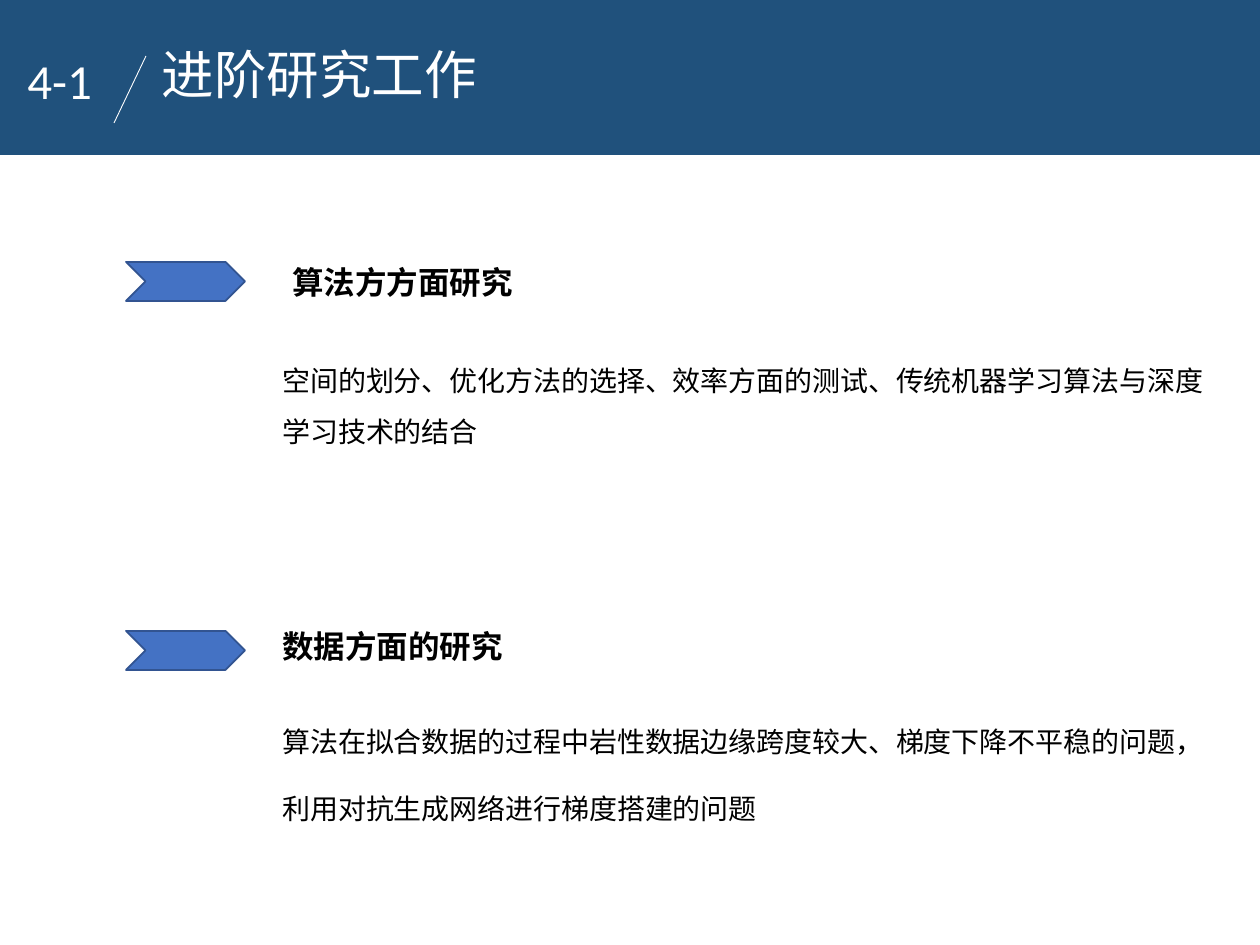
import pptx
import pptx.dml.color
import pptx.enum.shapes
import pptx.enum.text
import pptx.oxml
import pptx.oxml.ns
import pptx.util

PX = 914400 // 126
CJK = "Noto Sans CJK SC"
TITLE = "进阶研究工作"
NUMBER = "4-1"
BODY_WIDTH = 953
TOPICS = [
    {
        "arrow_top": 262,
        "heading": "算法方方面研究",
        "heading_box": (280, 257, 350, 50),
        "body": ["空间的划分、优化方法的选择、效率方面的测试、传统机器学习算法与深度学习技术的结合"],
        "body_box": (270, 341, BODY_WIDTH, 110),
        "spacing": {"line_spacing": 1.5},
    },
    {
        "arrow_top": 631,
        "heading": "数据方面的研究",
        "heading_box": (270, 621, 350, 50),
        "body": ["算法在拟合数据的过程中岩性数据边缘跨度较大、梯度下降不平稳的问题，",
                 "利用对抗生成网络进行梯度搭建的问题"],
        "body_box": (270, 718, BODY_WIDTH, 115),
        "spacing": {"space_before": pptx.util.Pt(19.5)},
    },
]


def color(value):
    return pptx.dml.color.RGBColor.from_string(value)


def lengths(*values):
    return [pptx.util.Emu(value * PX) for value in values]


def add_shape(slide, kind, box, fill, line=None):
    shape = slide.shapes.add_shape(kind, *lengths(*box))
    shape.shadow.inherit = False
    shape.fill.solid()
    shape.fill.fore_color.rgb = color(fill)
    if line:
        shape.line.color.rgb = color(line)
        shape.line.width = pptx.util.Pt(1)
    else:
        shape.line.fill.background()


def write(shape, lines, size, ink="000000", bold=False, font="Calibri", spacing=None):
    frame = shape.text_frame
    frame.word_wrap = True
    frame.vertical_anchor = pptx.enum.text.MSO_ANCHOR.TOP
    for index, text in enumerate(lines):
        paragraph = frame.add_paragraph() if index else frame.paragraphs[0]
        paragraph.alignment = pptx.enum.text.PP_ALIGN.LEFT
        for name, value in (spacing or {}).items():
            if index or name != "space_before":
                setattr(paragraph, name, value)
        run = paragraph.add_run()
        run.text = text
        for name, value in {"name": font, "size": pptx.util.Pt(size), "bold": bold}.items():
            setattr(run.font, name, value)
        run.font.color.rgb = color(ink)
        east_asian = pptx.oxml.parse_xml(
            f'<a:ea {pptx.oxml.ns.nsdecls("a")} typeface="{CJK}"/>')
        run.font._element.append(east_asian)


def add_text(slide, box, lines, size, **style):
    write(slide.shapes.add_textbox(*lengths(*box)), lines, size, **style)


def add_header(slide):
    add_shape(slide, pptx.enum.shapes.MSO_SHAPE.RECTANGLE, (-2, 0, 1262, 155), "20517C")
    slash = slide.shapes.add_connector(
        pptx.enum.shapes.MSO_CONNECTOR.STRAIGHT, *lengths(146, 56, 114, 123))
    slash.line.color.rgb = color("FFFFFF")
    slash.line.width = pptx.util.Pt(0.5)
    slash._element.spPr.append(
        pptx.oxml.parse_xml(f'<a:effectLst {pptx.oxml.ns.nsdecls("a")}/>'))

    title = slide.shapes.title
    for name, value in zip(("left", "top", "width", "height"), lengths(149, 48, 474, 68)):
        setattr(title, name, value)
    write(title, [TITLE], 30, ink="FFFFFF", font=CJK, spacing={"line_spacing": 0.8})
    title.text_frame.auto_size = pptx.enum.text.MSO_AUTO_SIZE.NONE
    title.element.getparent().append(title.element)
    add_text(slide, (15, 44, 134, 72), [NUMBER], 28, ink="FFFFFF")


def add_topic(slide, topic):
    add_shape(slide, pptx.enum.shapes.MSO_SHAPE.CHEVRON,
              (126, topic["arrow_top"], 119, 39), "4472C4", "325491")
    add_text(slide, topic["heading_box"], [topic["heading"]], 18, bold=True)
    add_text(slide, topic["body_box"], topic["body"], 16, spacing=topic["spacing"])


def main():
    presentation = pptx.Presentation()
    presentation.slide_width, presentation.slide_height = lengths(1260, 945)
    slide = presentation.slides.add_slide(presentation.slide_layouts[5])
    add_header(slide)
    for topic in TOPICS:
        add_topic(slide, topic)
    presentation.save("out.pptx")


if __name__ == "__main__":
    main()
